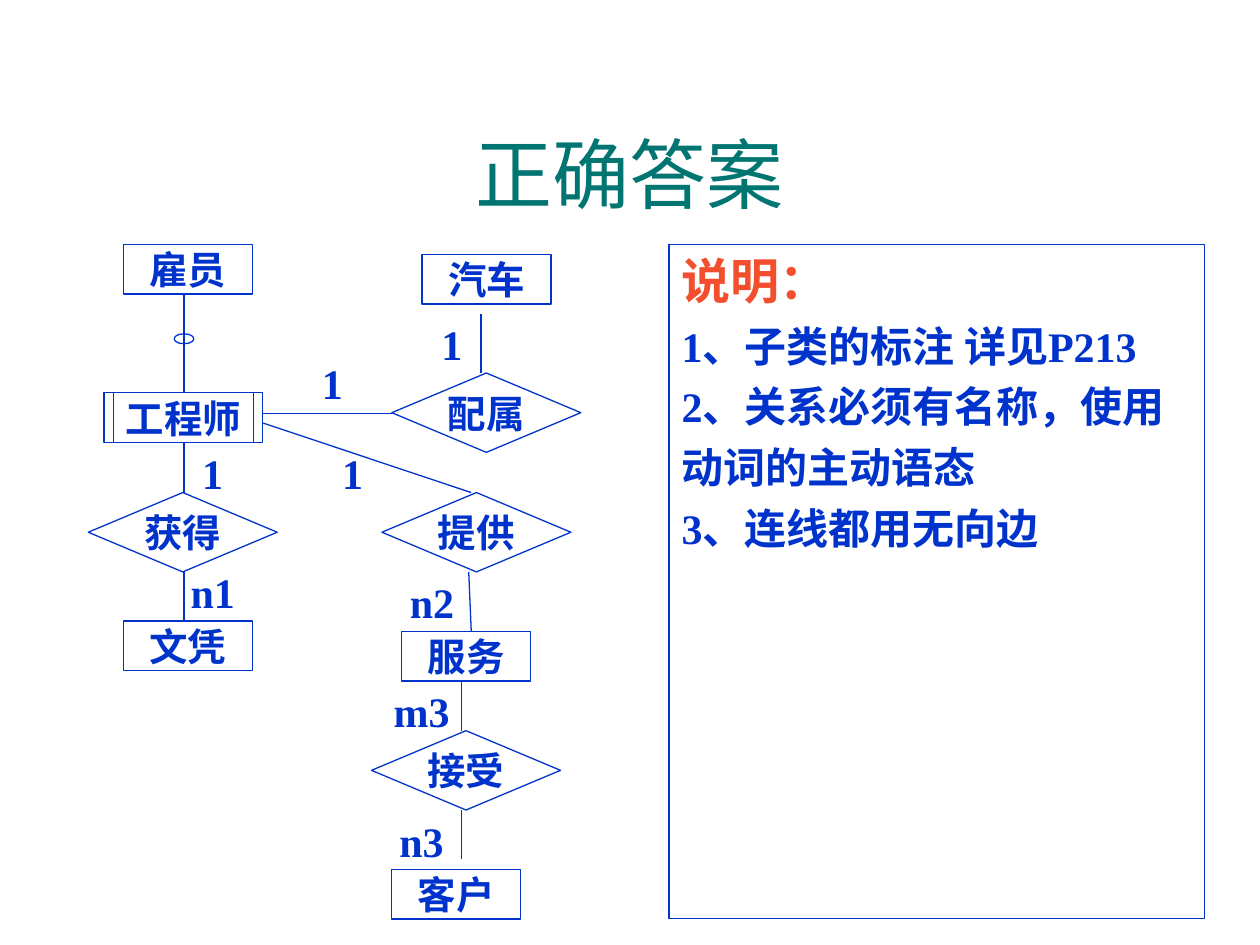
from dataclasses import dataclass

from lxml import etree
from pptx import Presentation
from pptx import util as u
from pptx.dml.color import RGBColor
from pptx.enum import shapes, text
from pptx.oxml.ns import qn

BLUE, WHITE, TEAL, ORANGE = "0033CC", "FFFFFF", "007572", "F34E2D"
SERIF = "Times New Roman"
RECTANGLE = shapes.MSO_SHAPE.RECTANGLE
DIAMOND = shapes.MSO_SHAPE.DIAMOND
ENTITY_SIZE, RELATION_SIZE, LABEL_SIZE = (2.6, 1), (3.81, 1.6), (0.8, 0.8)


@dataclass
class Node:
    """A box or diamond of the diagram, in centimetres."""
    caption: str
    left: float
    top: float
    size: tuple[float, float] = ENTITY_SIZE
    preset: shapes.MSO_SHAPE = RECTANGLE


@dataclass
class Edge:
    x1: float
    y1: float
    x2: float
    y2: float


CARDINALITIES = [
    Node("1", 6.71, 9.12, LABEL_SIZE),
    Node("1", 3.89, 9.12, LABEL_SIZE),
    Node("n1", 3.89, 11.53, LABEL_SIZE),
    Node("1", 6.3, 7.32, LABEL_SIZE),
    Node("1", 8.71, 6.53, LABEL_SIZE),
    Node("n2", 8.31, 11.73, LABEL_SIZE),
    Node("m3", 8.1, 13.92, LABEL_SIZE),
    Node("n3", 8.1, 16.54, LABEL_SIZE),
]
NODES = [
    Node("雇员", 2.49, 4.93),
    Node("工程师", 2.1, 7.92, (3.2, 1)),
    Node("文凭", 2.49, 12.52),
    Node("汽车", 8.51, 5.13),
    Node("服务", 8.1, 12.73),
    Node("客户", 7.9, 17.53),
    Node("获得", 1.78, 9.93, RELATION_SIZE, DIAMOND),
    Node("配属", 7.9, 7.52, RELATION_SIZE, DIAMOND),
    Node("提供", 7.7, 9.93, RELATION_SIZE, DIAMOND),
    Node("接受", 7.49, 14.73, RELATION_SIZE, DIAMOND),
]
EDGES = [
    Edge(3.71, 5.92, 3.71, 7.92),
    Edge(3.71, 8.92, 3.71, 9.93),
    Edge(3.71, 11.53, 3.71, 12.52),
    Edge(5.31, 8.33, 7.9, 8.33),
    Edge(5.31, 8.53, 9.5, 9.93),
    Edge(9.7, 6.32, 9.7, 7.52),
    Edge(9.45, 11.53, 9.5, 12.73),
    Edge(9.3, 13.72, 9.3, 14.73),
    Edge(9.3, 16.33, 9.3, 17.32),
    # Inner bars of the subclass box
    Edge(2.29, 7.92, 2.29, 8.92),
    Edge(5.11, 7.92, 5.11, 8.92),
]
NOTES = [
    "1、子类的标注 详见P213",
    "2、关系必须有名称，使用",
    "动词的主动语态",
    "3、连线都用无向边",
]


def rgb(value: str) -> RGBColor:
    return RGBColor.from_string(value)


def write(paragraph, content: str, size: float, color: str = BLUE, name: str = SERIF, bold: bool = True) -> None:
    run = paragraph.add_run()
    run.text = content
    for key, value in {"size": u.Pt(size), "name": name, "bold": bold}.items():
        setattr(run.font, key, value)
    run.font.color.rgb = rgb(color)


def add_outline(slide, preset, left: float, top: float, size: tuple[float, float],
                fill: str | None = None, line: str = BLUE):
    shape = slide.shapes.add_shape(preset, u.Cm(left), u.Cm(top), *map(u.Cm, size))
    shape.shadow.inherit = False
    if fill:
        shape.fill.solid()
        shape.fill.fore_color.rgb = rgb(fill)
    else:
        shape.fill.background()
    shape.line.color.rgb = rgb(line)
    shape.line.width = u.Pt(0.75)
    return shape


def add_node(slide, node: Node, size: float, fill: str | None = None, line: str = BLUE) -> None:
    shape = add_outline(slide, node.preset, node.left, node.top, node.size, fill, line)
    frame = shape.text_frame
    frame.word_wrap = False
    frame.vertical_anchor = text.MSO_ANCHOR.MIDDLE
    paragraph = frame.paragraphs[0]
    paragraph.alignment = text.PP_ALIGN.CENTER
    write(paragraph, node.caption, size)


def add_edge(slide, edge: Edge) -> None:
    ends = map(u.Cm, (edge.x1, edge.y1, edge.x2, edge.y2))
    connector = slide.shapes.add_connector(shapes.MSO_CONNECTOR.STRAIGHT, *ends)
    connector.line.color.rgb = rgb(BLUE)
    connector.line.width = u.Pt(0.75)
    etree.SubElement(connector._element.spPr, qn("a:effectLst"))


def add_title(slide, content: str) -> None:
    title = slide.shapes.title
    place = {"left": 0.84, "top": 1.9, "width": 23.72, "height": 3.18}
    for key, value in place.items():
        setattr(title, key, u.Cm(value))
    title.text_frame.vertical_anchor = text.MSO_ANCHOR.MIDDLE
    paragraph = title.text_frame.paragraphs[0]
    paragraph.alignment = text.PP_ALIGN.CENTER
    write(paragraph, content, 44, TEAL, "Arial", False)


def add_notes_panel(slide) -> None:
    panel = add_outline(slide, RECTANGLE, 13.49, 4.93, (10.8, 13.59), WHITE)
    frame = panel.text_frame
    frame.word_wrap = True
    frame.vertical_anchor = text.MSO_ANCHOR.TOP
    write(frame.paragraphs[0], "说明：", 28, ORANGE)
    for note in NOTES:
        paragraph = frame.add_paragraph()
        paragraph.space_before = u.Pt(6)
        write(paragraph, note, 24)
    for paragraph in frame.paragraphs:
        paragraph.alignment = text.PP_ALIGN.LEFT


def main() -> None:
    presentation = Presentation()
    presentation.slide_width, presentation.slide_height = u.Cm(25.4), u.Cm(19.05)
    slide = presentation.slides.add_slide(presentation.slide_layouts[5])
    add_title(slide, "正确答案")
    for label in CARDINALITIES:
        add_node(slide, label, 24, WHITE, WHITE)
    add_outline(slide, shapes.MSO_SHAPE.OVAL, 3.51, 6.73, (0.4, 0.2), WHITE)
    for edge in EDGES:
        add_edge(slide, edge)
    for node in NODES:
        add_node(slide, node, 22)
    add_notes_panel(slide)
    presentation.save("out.pptx")


if __name__ == "__main__":
    main()
